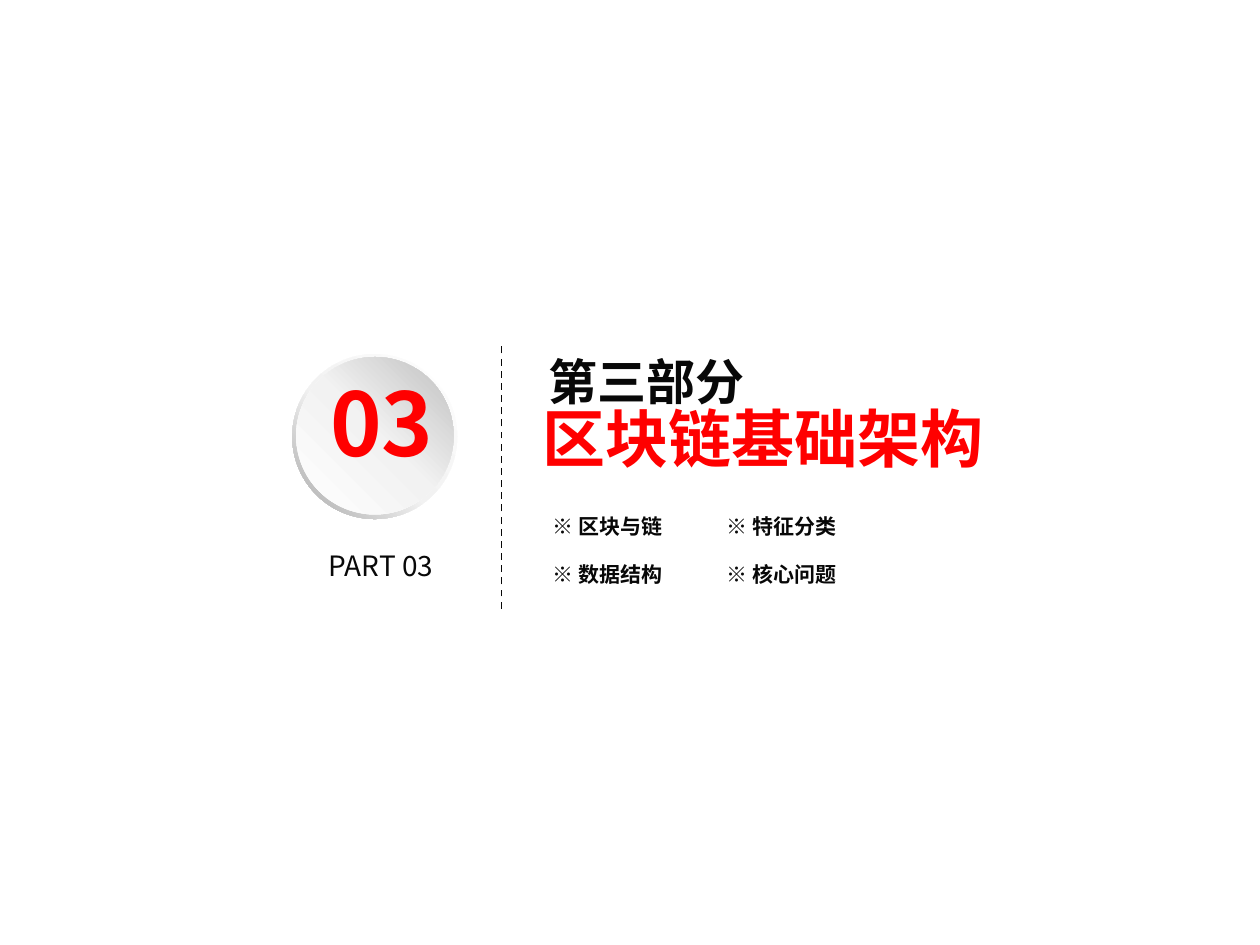
import copy
import pptx
import pptx.util
import pptx.dml.color
import pptx.enum.dml
import pptx.enum.shapes
import pptx.enum.text
import pptx.oxml
import pptx.oxml.ns

Pt = pptx.util.Pt
qn = pptx.oxml.ns.qn
CJK = "Noto Sans CJK SC"
INK = "080808"
RED = "FF0000"


def color(value):
    return pptx.dml.color.RGBColor.from_string(value)


def style(run, size, value, bold, font=CJK):
    run.font.size = Pt(size)
    run.font.bold = bold
    run.font.name = font
    run.font.color.rgb = color(value)
    east_asian = pptx.oxml.parse_xml(
        f'<a:ea {pptx.oxml.ns.nsdecls("a")} typeface="{CJK}"/>')
    run.font._element.find(qn("a:latin")).addnext(east_asian)


deck = pptx.Presentation()
deck.slide_width, deck.slide_height = Pt(720), Pt(540)
slide = deck.slides.add_slide(deck.slide_layouts[6])

heading = slide.shapes.add_textbox(Pt(303.1), Pt(202.3), Pt(267.1), Pt(85)).text_frame
heading.word_wrap = False
heading.auto_size = pptx.enum.text.MSO_AUTO_SIZE.SHAPE_TO_FIT_TEXT
part_line = heading.paragraphs[0]
title_line = heading.add_paragraph()
title_line.alignment = pptx.enum.text.PP_ALIGN.CENTER
for line, words, size, value, font in [
    (part_line, " ", 14, INK, "Arial"),
    (part_line, "第三部分", 28, INK, CJK),
    (title_line, "区块链基础架构", 36, RED, CJK),
]:
    line.line_spacing = 0.86
    run = line.add_run()
    run.text = words
    style(run, size, value, True, font)

divider = slide.shapes.add_connector(
    pptx.enum.shapes.MSO_CONNECTOR.STRAIGHT, Pt(286.5), Pt(347.8), Pt(286.5), Pt(196.6))
divider.line.color.rgb = color(INK)
divider.line.width = Pt(1)
divider.line.dash_style = pptx.enum.dml.MSO_LINE.DASH
divider._element.spPr.append(
    pptx.oxml.parse_xml(f'<a:effectLst {pptx.oxml.ns.nsdecls("a")}/>'))

badge = slide.shapes.add_group_shape()
for kind, left, top, size, angle, middle, dark in [
    ("DONUT", 167, 202.3, 94.3, 225, 0.55, "A6A6A6"),
    ("OVAL", 169.2, 204, 90, 45, 0.51, "BFBFBF"),
]:
    disc = badge.shapes.add_shape(
        pptx.enum.shapes.MSO_SHAPE[kind], Pt(left), Pt(top), Pt(size), Pt(size))
    disc.shadow.inherit = False
    disc.line.fill.background()
    if kind == "DONUT":
        disc.adjustments[0] = 0.05
    disc.fill.gradient()
    disc.fill.gradient_angle = angle
    stop_list = disc._element.spPr.find(qn("a:gradFill")).find(qn("a:gsLst"))
    stop_list.append(copy.deepcopy(stop_list[0]))
    for stop, position, value in zip(
            disc.fill.gradient_stops, (0, middle, 1), ("FFFFFF", "F2F2F2", dark)):
        stop.position = position
        stop.color.rgb = color(value)

labels = [
    ("PART 03", 187.9, 316.1, 71.3, 19.4, 16, INK, False, 0, 0),
    ("03", 188.6, 218.9, 71.3, 60.5, 50, RED, True, 0, 0),
]
topics = ["※ 区块与链", "※ 特征分类", "※ 数据结构", "※ 核心问题"]
for index, topic in enumerate(topics):
    row, column = divmod(index, 2)
    labels.append((topic, 311 + 99.4 * column, 293 + 27.4 * row, 80, 19.4,
                   12, INK, True, 5, 2.5))

for words, left, top, width, height, size, value, bold, side, edge in labels:
    label = slide.shapes.add_textbox(Pt(left), Pt(top), Pt(width), Pt(height)).text_frame
    label.word_wrap = True
    label.auto_size = pptx.enum.text.MSO_AUTO_SIZE.SHAPE_TO_FIT_TEXT
    label.margin_left = label.margin_right = Pt(side)
    label.margin_top = label.margin_bottom = Pt(edge)
    label.text = words
    label.paragraphs[0].line_spacing = 0.88
    style(label.paragraphs[0].runs[0], size, value, bold)

deck.save("out.pptx")
